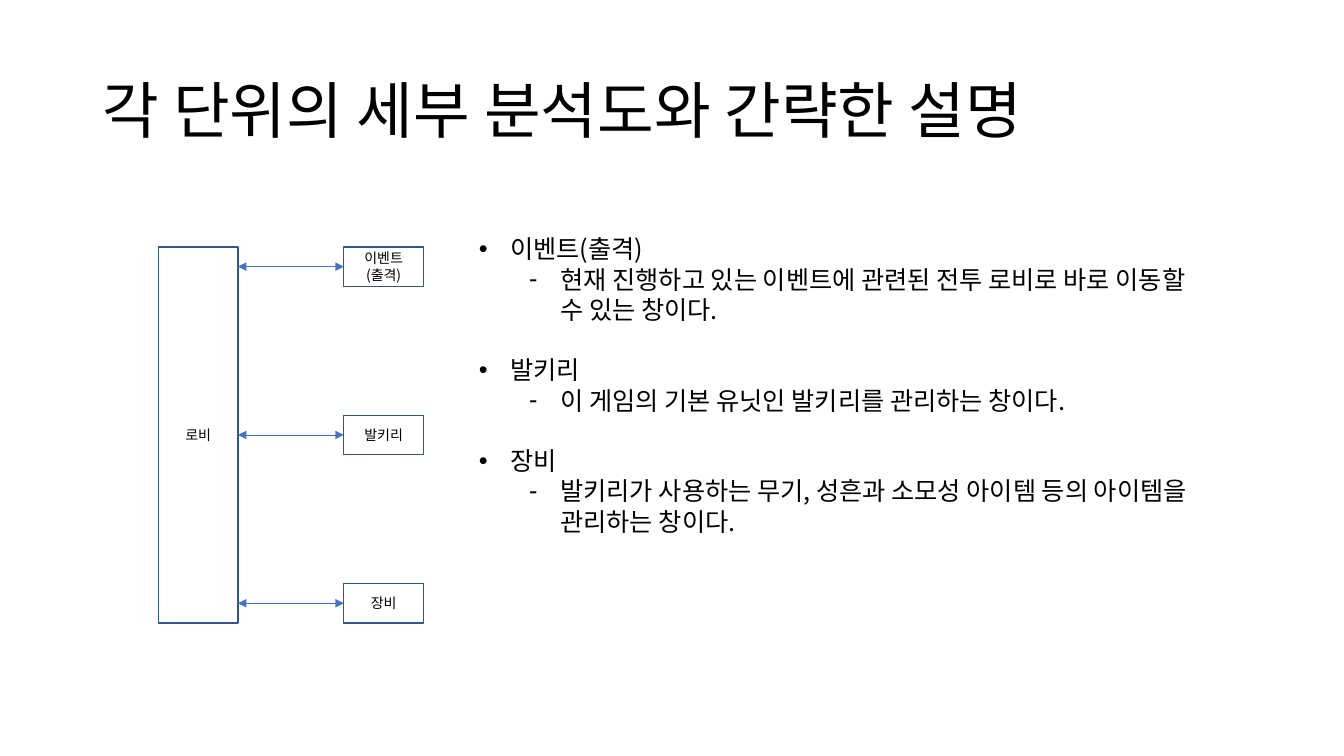
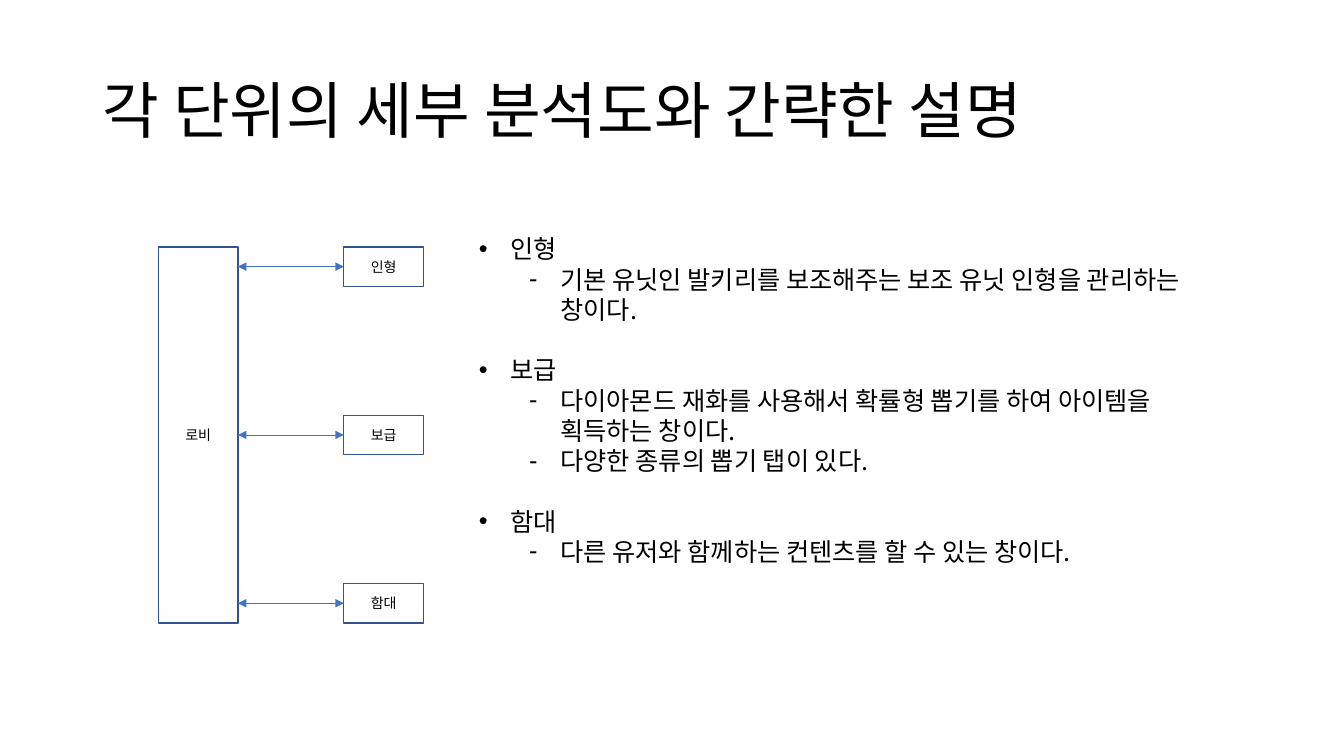
from pptx import Presentation
from pptx.dml.color import RGBColor as RGB
from pptx.enum.shapes import MSO_CONNECTOR as Link, MSO_SHAPE as Kind
from pptx.enum.text import MSO_ANCHOR as Anchor, MSO_AUTO_SIZE as Fit, PP_ALIGN as Align
from pptx.oxml.ns import qn
from pptx.util import Inches, Pt
from lxml.etree import SubElement as Sub

theme = {
    "font": "Noto Sans CJK KR",
    "ink": RGB.from_string("000000"),
    "fill": RGB.from_string("FFFFFF"),
    "edge": RGB.from_string("325491"),
    "arrow": RGB.from_string("4472C4"),
    "title": Pt(44),
    "body": Pt(18),
    "label": Pt(10),
}
title = "각 단위의 세부 분석도와 간략한 설명"
hub = "로비"
pages = [
    [
        ("이벤트(출격)", ["현재 진행하고 있는 이벤트에 관련된 전투 로비로 바로 이동할 수 있는 창이다."]),
        ("발키리", ["이 게임의 기본 유닛인 발키리를 관리하는 창이다."]),
        ("장비", ["발키리가 사용하는 무기, 성흔과 소모성 아이템 등의 아이템을 관리하는 창이다."]),
    ],
    [
        ("인형", ["기본 유닛인 발키리를 보조해주는 보조 유닛 인형을 관리하는 창이다."]),
        ("보급", ["다이아몬드 재화를 사용해서 확률형 뽑기를 하여 아이템을 획득하는 창이다.",
                "다양한 종류의 뽑기 탭이 있다."]),
        ("함대", ["다른 유저와 함께하는 컨텐츠를 할 수 있는 창이다."]),
    ],
]
levels = [("•", 0.31), ("-", 0.81)]
hang = 0.31
pitch = Pt(21.6)
hub_x, unit_x, top = 1.57, 3.41, 2.45
wide, tall, high = 0.79, 3.73, 0.39


def write(para, text, size, **form):
    for key, value in form.items():
        setattr(para, key, value)
    run = para.add_run()
    run.text = text
    for key, value in {"size": size, "name": theme["font"]}.items():
        setattr(run.font, key, value)
    run.font.color.rgb = theme["ink"]
    Sub(run._r.get_or_add_rPr(), qn("a:ea"), typeface=theme["font"])


def box(slide, text, x, y, height):
    shape = slide.shapes.add_shape(
        Kind.RECTANGLE, Inches(x), Inches(y), Inches(wide), Inches(height))
    shape.shadow.inherit = False
    shape.fill.solid()
    shape.fill.fore_color.rgb = theme["fill"]
    shape.line.color.rgb = theme["edge"]
    shape.line.width = Pt(1)
    frame = shape.text_frame
    form = {"word_wrap": True, "vertical_anchor": Anchor.MIDDLE, "margin_left": 0,
            "margin_right": 0, "margin_top": 0, "margin_bottom": 0}
    for key, value in form.items():
        setattr(frame, key, value)
    for i, line in enumerate(text.split("\n")):
        para = frame.add_paragraph() if i else frame.paragraphs[0]
        write(para, line, theme["label"], alignment=Align.CENTER, line_spacing=Pt(12))
    return shape


deck = Presentation()
deck.slide_width, deck.slide_height = Inches(13.33), Inches(7.5)

for units in pages:
    slide = deck.slides.add_slide(deck.slide_layouts[6])
    head = slide.shapes.add_textbox(
        Inches(0.92), Inches(0.4), Inches(11.5), Inches(1.45)).text_frame
    head.word_wrap = True
    head.vertical_anchor = Anchor.MIDDLE
    write(head.paragraphs[0], title, theme["title"], line_spacing=0.9)

    lines = sum(1 + len(notes) for name, notes in units)
    body = slide.shapes.add_textbox(
        Inches(4.65), Inches(2.27), Inches(7.25), Inches(3.13)).text_frame
    body.word_wrap = True
    body.auto_size = Fit.SHAPE_TO_FIT_TEXT
    box(slide, hub, hub_x, top, tall)
    step = (tall - high) / (len(units) - 1)

    for i, (name, notes) in enumerate(units):
        for j, text in enumerate([name, *notes]):
            para = body.add_paragraph() if i or j else body.paragraphs[0]
            level = min(j, 1)
            mark, left = levels[level]
            gap = pitch if i and not j else Pt(0)
            write(para, text, theme["body"], level=level,
                  line_spacing=pitch, space_before=gap)
            props = para._p.get_or_add_pPr()
            props.set("marL", str(Inches(left)))
            props.set("indent", str(-Inches(hang)))
            Sub(props, qn("a:buFont"), typeface="Arial")
            Sub(props, qn("a:buChar"), char=mark)

        y = top + i * step
        unit = box(slide, name.replace("(", "\n("), unit_x, y, high)
        mid = Inches(y + high / 2)
        arrow = slide.shapes.add_connector(
            Link.STRAIGHT, Inches(hub_x + wide), mid, Inches(unit_x), mid)
        arrow.end_connect(unit, 1)
        arrow.line.color.rgb = theme["arrow"]
        arrow.line.width = Pt(0.5)
        for end in ("a:headEnd", "a:tailEnd"):
            Sub(arrow.line._get_or_add_ln(), qn(end), type="triangle")
        Sub(arrow._element.spPr, qn("a:effectLst"))

deck.save("out.pptx")
